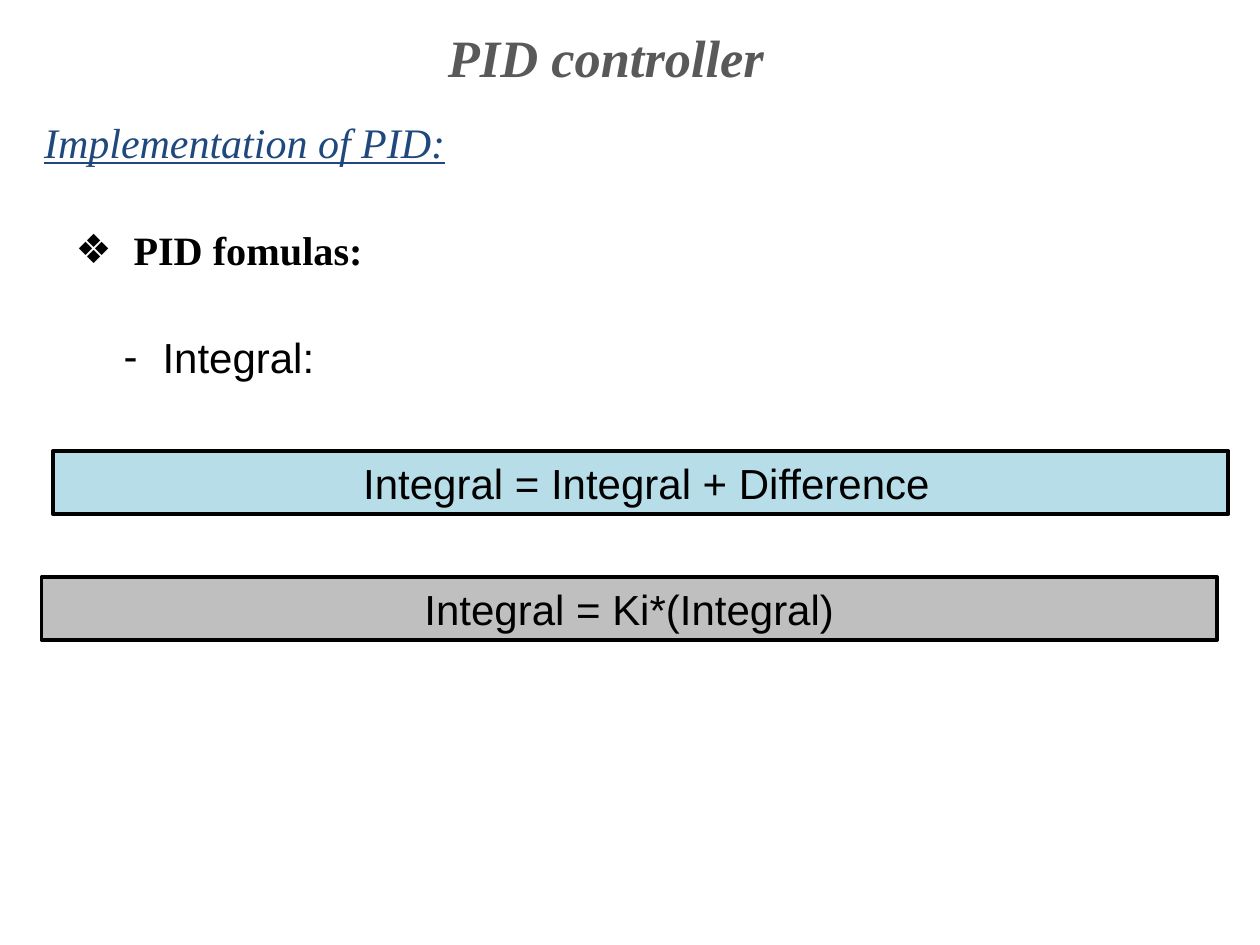
from dataclasses import dataclass

from lxml import etree
from pptx import Presentation
from pptx.dml.color import RGBColor
from pptx.enum.shapes import MSO_SHAPE
from pptx.enum.text import MSO_ANCHOR, MSO_AUTO_SIZE, PP_ALIGN
from pptx.oxml.ns import qn
from pptx.util import Inches, Pt

RECTANGLE = MSO_SHAPE.RECTANGLE
MIDDLE, TOP = MSO_ANCHOR.MIDDLE, MSO_ANCHOR.TOP
NO_AUTOFIT = MSO_AUTO_SIZE.NONE
CENTER, LEFT = PP_ALIGN.CENTER, PP_ALIGN.LEFT
SERIF, SANS = "Times New Roman", "Arial"
BLACK = "000000"
TITLE_AND_CONTENT = 1


@dataclass
class TextStyle:
    size: float
    font: str = SANS
    color: str = BLACK
    bold: bool = False
    italic: bool = False
    underline: bool = False


@dataclass
class OutlineItem:
    text: str
    style: TextStyle
    level: int
    margin: float
    indent: float
    bullet: str = ""


@dataclass
class Formula:
    text: str
    left: float
    top: float
    fill: str


OUTLINE = [
    OutlineItem("Implementation of PID:",
                TextStyle(24, SERIF, "1F497D", italic=True, underline=True),
                0, 0.38, -0.38),
    OutlineItem("PID fomulas:", TextStyle(23, SERIF, bold=True),
                1, 0.71, -0.46, "❖"),
    OutlineItem("Integral:", TextStyle(24), 3, 0.94, -0.31, "-"),
]
FORMULAS = [
    Formula(" Integral = Integral + Difference", 0.42, 3.58, "B7DEE8"),
    Formula("Integral = Ki*(Integral)", 0.33, 4.58, "BFBFBF"),
]


def rgb(color: str) -> RGBColor:
    return RGBColor.from_string(color)


def add_run(paragraph, text: str, style: TextStyle) -> None:
    run = paragraph.add_run()
    run.text = text
    font = run.font
    font.name, font.size = style.font, Pt(style.size)
    font.bold, font.italic = style.bold, style.italic
    font.underline = style.underline
    font.color.rgb = rgb(style.color)


def place(shape, left: float, top: float, width: float, height: float) -> None:
    shape.left, shape.top = Inches(left), Inches(top)
    shape.width, shape.height = Inches(width), Inches(height)


def prepare_frame(shape, anchor):
    frame = shape.text_frame
    frame.word_wrap = True
    frame.auto_size = NO_AUTOFIT
    frame.vertical_anchor = anchor
    return frame


def set_bullet(paragraph, item: OutlineItem) -> None:
    properties = paragraph._p.get_or_add_pPr()
    properties.set("marL", str(Inches(item.margin)))
    properties.set("indent", str(Inches(item.indent)))
    if item.bullet:
        etree.SubElement(properties, qn("a:buChar"), char=item.bullet)
    else:
        etree.SubElement(properties, qn("a:buNone"))


def fill_outline(body, items: list[OutlineItem]) -> None:
    frame = prepare_frame(body, TOP)
    for index, item in enumerate(items):
        paragraph = frame.add_paragraph() if index else frame.paragraphs[0]
        set_bullet(paragraph, item)
        paragraph.level = item.level
        paragraph.alignment = LEFT
        paragraph.line_spacing = 0.9
        paragraph.space_before = Pt(36 if index else 0)
        add_run(paragraph, item.text, item.style)


def add_formula(slide, formula: Formula) -> None:
    box = slide.shapes.add_shape(RECTANGLE, Inches(formula.left),
                                 Inches(formula.top), Inches(9.33), Inches(0.5))
    box.shadow.inherit = False
    box.fill.solid()
    box.fill.fore_color.rgb = rgb(formula.fill)
    box.line.color.rgb = rgb(BLACK)
    box.line.width = Pt(2.25)
    paragraph = prepare_frame(box, MIDDLE).paragraphs[0]
    paragraph.alignment = CENTER
    add_run(paragraph, formula.text, TextStyle(24))


def main() -> None:
    presentation = Presentation()
    presentation.slide_width, presentation.slide_height = Inches(10), Inches(7.5)
    layout = presentation.slide_layouts[TITLE_AND_CONTENT]
    slide = presentation.slides.add_slide(layout)

    # Title
    title = slide.shapes.title
    place(title, 1.54, 0.21, 6.54, 0.47)
    heading = prepare_frame(title, MIDDLE).paragraphs[0]
    heading.alignment = CENTER
    add_run(heading, "PID controller",
            TextStyle(30, SERIF, "595959", bold=True, italic=True))

    # Outline
    body = slide.placeholders[1]
    place(body, 0.25, 0.92, 9.49, 2.31)
    fill_outline(body, OUTLINE)

    # Formula boxes
    for formula in FORMULAS:
        add_formula(slide, formula)

    presentation.save("out.pptx")


if __name__ == "__main__":
    main()
